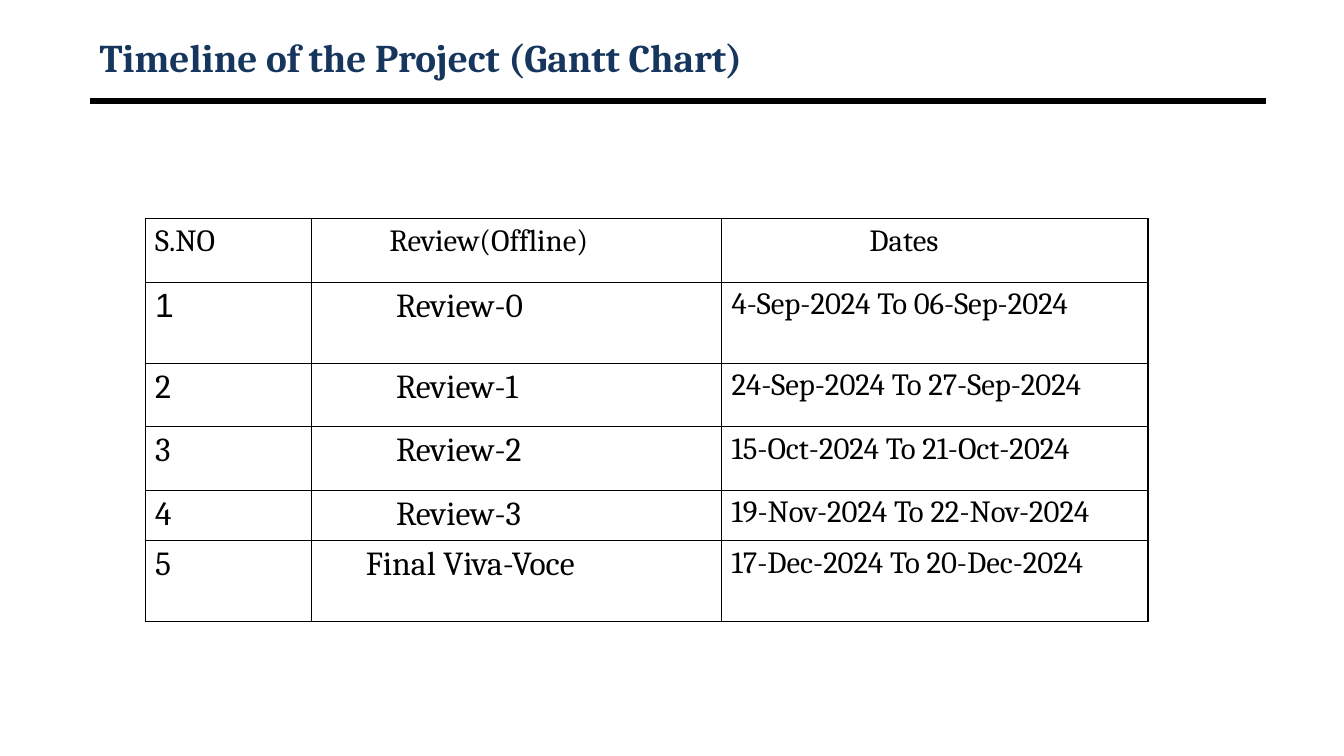
from lxml.etree import SubElement
from pptx import Presentation
from pptx.dml.color import RGBColor
from pptx.enum.shapes import MSO_CONNECTOR
from pptx.enum.text import MSO_ANCHOR
from pptx.oxml.ns import qn
from pptx.util import Cm, Pt

BLACK = RGBColor(0x00, 0x00, 0x00)
WHITE = RGBColor(0xFF, 0xFF, 0xFF)
NAVY = RGBColor(0x17, 0x36, 0x5D)

COL_WIDTHS = [4.19, 10.34, 10.74]
ROW_HEIGHTS = [1.6, 2.04, 1.6, 1.6, 1.24, 2.04]
MARGIN = 0.25

HEADER = ["S.NO", "Review(Offline)", "Dates"]
HEADER_INDENTS = [0, 1.71, 3.47]
# Review name, its indent, dates
REVIEWS = [
    ("Review-0", 1.88, "4-Sep-2024 To 06-Sep-2024"),
    ("Review-1", 1.88, "24-Sep-2024 To 27-Sep-2024"),
    ("Review-2", 1.88, "15-Oct-2024 To 21-Oct-2024"),
    ("Review-3", 1.88, "19-Nov-2024 To 22-Nov-2024"),
    ("Final Viva-Voce", 1.12, "17-Dec-2024 To 20-Dec-2024"),
]


class SlideBuilder:
    font = "Cambria"

    def __init__(self, slide):
        self.s = slide

    def add_text(self, tf, text, size, color=BLACK, **extra):
        r = tf.paragraphs[0].add_run()
        r.text = text
        style = {"name": self.font, "size": Pt(size), "bold": False, **extra}
        for key, value in style.items():
            setattr(r.font, key, value)
        r.font.color.rgb = color

    def title(self, text, x, y, w, h):
        sp = self.s.shapes.add_textbox(Cm(x), Cm(y), Cm(w), Cm(h))
        tf = sp.text_frame
        tf.word_wrap = True
        tf.vertical_anchor = MSO_ANCHOR.MIDDLE
        self.add_text(tf, text, 28, NAVY, bold=True)

    def rule(self, x1, x2, y, width):
        line = self.s.shapes.add_connector(
            MSO_CONNECTOR.STRAIGHT, Cm(x1), Cm(y), Cm(x2), Cm(y))
        line.line.color.rgb = BLACK
        line.line.width = Pt(width)
        SubElement(line._element.spPr, qn("a:effectLst"))

    def table(self, x, y, col_widths, row_heights):
        table = self.s.shapes.add_table(
            len(row_heights), len(col_widths), Cm(x), Cm(y),
            Cm(sum(col_widths)), Cm(sum(row_heights))).table
        table.first_row = table.horz_banding = False
        for col, width in zip(table.columns, col_widths):
            col.width = Cm(width)
        for row, height in zip(table.rows, row_heights):
            row.height = Cm(height)
        return table

    def cell(self, cell, text, size, indent=0, **extra):
        cell.margin_left = Cm(MARGIN + indent)
        tcPr = cell._tc.get_or_add_tcPr()
        for side in ("a:lnL", "a:lnR", "a:lnT", "a:lnB"):
            ln = SubElement(tcPr, qn(side), w=str(Pt(1)))
            fill = SubElement(ln, qn("a:solidFill"))
            SubElement(fill, qn("a:srgbClr"), val=str(BLACK))
        cell.fill.solid()
        cell.fill.fore_color.rgb = WHITE
        self.add_text(cell.text_frame, text, size, **extra)


def main():
    prs = Presentation()
    prs.slide_width, prs.slide_height = Cm(33.87), Cm(19.05)
    b = SlideBuilder(prs.slides.add_slide(prs.slide_layouts[6]))

    # Heading
    b.rule(2.26, 31.9, 2.54, 4.5)
    b.title("Timeline of the Project (Gantt Chart)", 2.26, 0.76, 29.64, 1.35)

    # Review schedule
    table = b.table(3.66, 5.51, COL_WIDTHS, ROW_HEIGHTS)
    for col, (text, indent) in enumerate(zip(HEADER, HEADER_INDENTS)):
        b.cell(table.cell(0, col), text, 22, indent)
    for row, (review, indent, dates) in enumerate(REVIEWS, 1):
        number_font = "Arial" if row == 1 else b.font
        b.cell(table.cell(row, 0), str(row), 24, name=number_font)
        b.cell(table.cell(row, 1), review, 24, indent)
        b.cell(table.cell(row, 2), dates, 22)

    prs.save("out.pptx")


if __name__ == "__main__":
    main()
